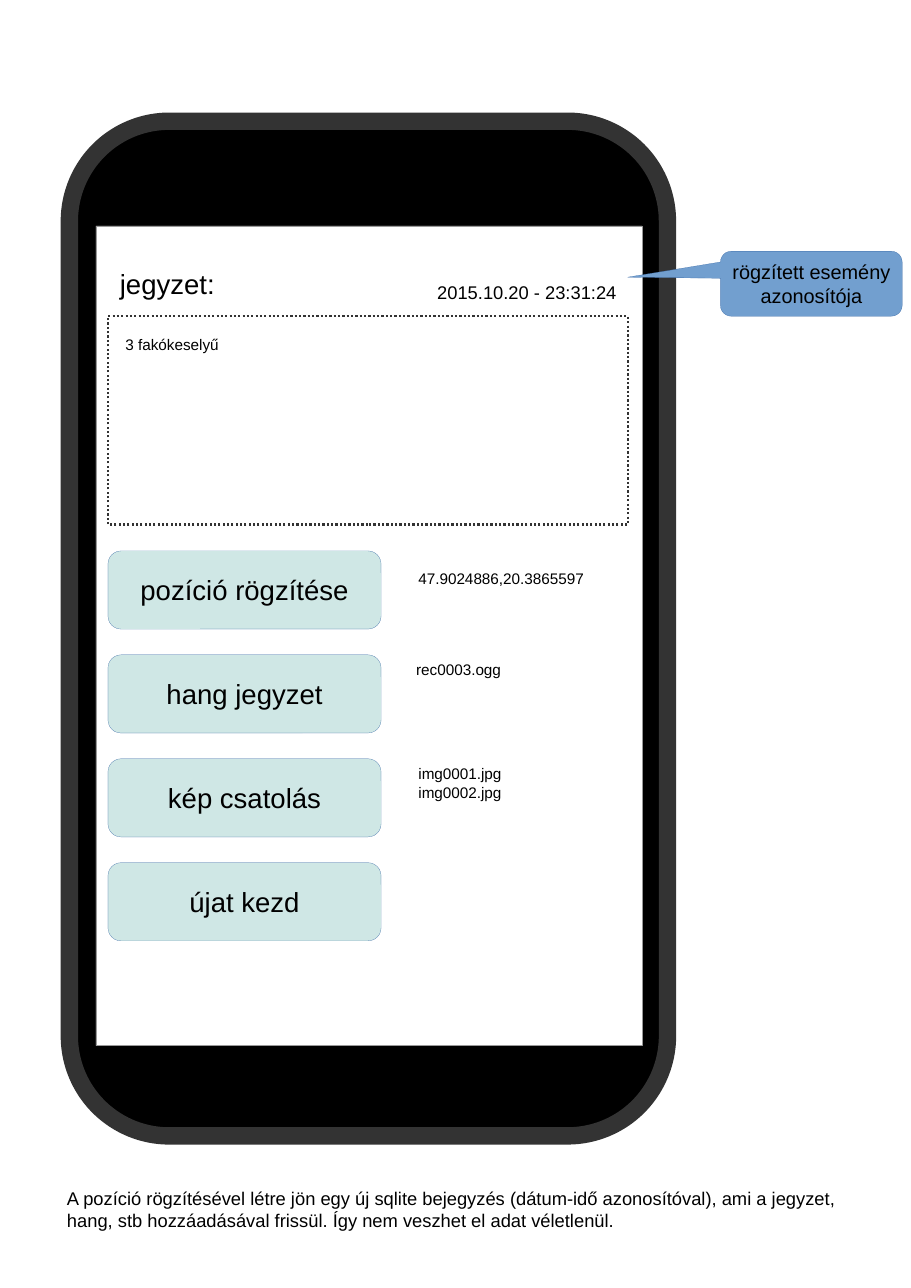
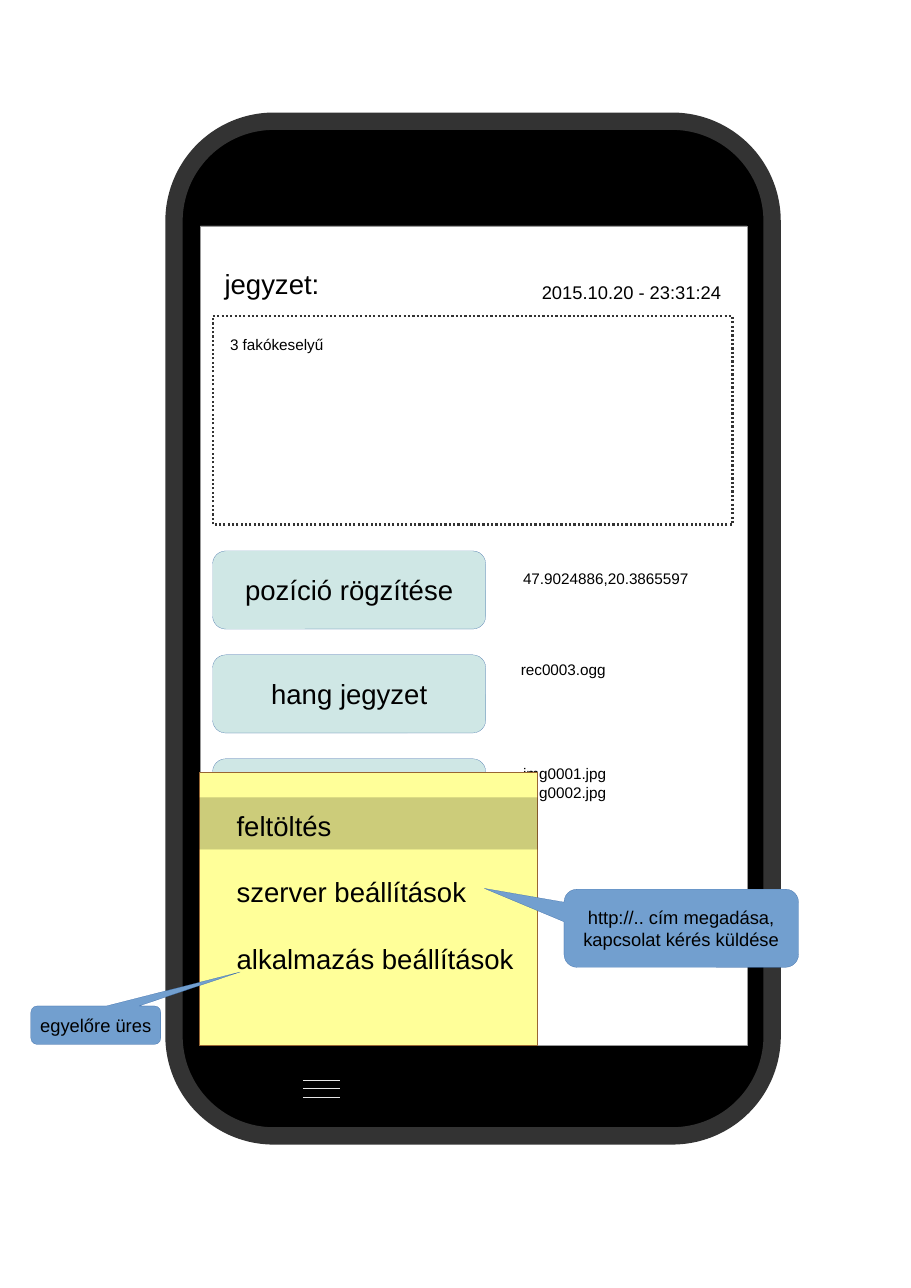
import pptx
import pptx.util
import pptx.dml.color
import pptx.enum.dml
import pptx.enum.shapes
import pptx.enum.text
import pptx.oxml
import pptx.oxml.ns

Inches = pptx.util.Inches
Pt = pptx.util.Pt
SHAPE = pptx.enum.shapes.MSO_SHAPE
ALIGN = pptx.enum.text.PP_ALIGN
ANCHOR = pptx.enum.text.MSO_ANCHOR

FONT = "Arial"
BLACK = "000000"
WHITE = "FFFFFF"
DARK_GREY = "333333"
SCREEN_EDGE = "999999"
BUTTON_FILL = "CFE7E5"
CALLOUT_FILL = "729FCF"
BLUE_EDGE = "3465A4"
MENU_FILL = "FFFF99"
MENU_EDGE = "996633"
ICON_GREY = "E6E6E6"

HAIRLINE = 0.1
CORNER = 0.167
PHONE_WIDTH, PHONE_HEIGHT = 5.43, 9.21
PHONE_TOP = 1.1
BUTTON_PITCH = 2.83 / 3


def colour(hex_string):
    return pptx.dml.color.RGBColor.from_string(hex_string)


def add_alpha(fill_owner, percent):
    for colour_node in fill_owner.iter(pptx.oxml.ns.qn("a:srgbClr")):
        alpha = pptx.oxml.parse_xml(
            f'<a:alpha {pptx.oxml.ns.nsdecls("a")} val="{percent * 1000}"/>')
        colour_node.append(alpha)


def write(frame, lines, size, align=ALIGN.LEFT, wrap=True, spacing=None, gap=0):
    frame.word_wrap = wrap
    for index, line in enumerate(lines):
        para = frame.paragraphs[0] if index == 0 else frame.add_paragraph()
        para.alignment = align
        if spacing:
            para.line_spacing = spacing
        if gap and index:
            para.space_before = Pt(gap)
        span = para.add_run()
        span.text = line
        span.font.size = Pt(size)
        span.font.name = FONT
        span.font.color.rgb = colour(BLACK)


def add_text(page, left, top, width, height, lines, size, **style):
    box = page.shapes.add_textbox(
        Inches(left), Inches(top), Inches(width), Inches(height))
    write(box.text_frame, lines, size, **style)


def add_box(page, kind, left, top, width, height, fill, edge,
            edge_width=HAIRLINE, adjust=(), lines=(), size=18):
    box = page.shapes.add_shape(
        kind, Inches(left), Inches(top), Inches(width), Inches(height))
    box.shadow.inherit = False
    box.fill.solid()
    box.fill.fore_color.rgb = colour(fill)
    box.line.color.rgb = colour(edge)
    box.line.width = Pt(edge_width)
    for index, value in enumerate(adjust):
        box.adjustments[index] = value
    box.text_frame.vertical_anchor = ANCHOR.MIDDLE
    write(box.text_frame, lines, size, align=ALIGN.CENTER, wrap=False)
    return box


def add_callout(page, left, top, width, height, tip, lines, size=12):
    add_box(page, SHAPE.ROUNDED_RECTANGULAR_CALLOUT, left, top, width, height,
            CALLOUT_FILL, BLUE_EDGE, adjust=(*tip, CORNER), lines=lines, size=size)


def add_phone(page, left, top, button_labels):
    add_box(page, SHAPE.ROUNDED_RECTANGLE, left, top, PHONE_WIDTH, PHONE_HEIGHT,
            BLACK, DARK_GREY, 11.34, (CORNER,))
    add_box(page, SHAPE.RECTANGLE, left + 0.24, top + 0.95, 4.96, 7.44,
            WHITE, SCREEN_EDGE)
    add_note(page, left + 0.35, top + 1.27)
    add_buttons(page, left + 0.35, top + 3.9, button_labels)
    add_details(page, left + 3.07, top + 4.02)


def add_note(page, left, top):
    add_text(page, left + 0.01, top, 1.6, 0.38, ["jegyzet:"], 18)
    add_text(page, left + 2.89, top + 0.03, 1.98, 0.38,
             ["2015.10.20 - 23:31:24"], 12, spacing=1.5)
    field = add_box(page, SHAPE.RECTANGLE, left, top + 0.5, 4.72, 1.89,
                    WHITE, DARK_GREY, 1.42)
    field.line.dash_style = pptx.enum.dml.MSO_LINE.ROUND_DOT
    add_text(page, left + 0.06, top + 0.62, 2, 0.25, ["3 fakókeselyű"], 10)


def add_buttons(page, left, top, labels):
    for index, label in enumerate(labels):
        add_box(page, SHAPE.ROUNDED_RECTANGLE, left, top + index * BUTTON_PITCH,
                2.48, 0.71, BUTTON_FILL, BLUE_EDGE, adjust=(CORNER,), lines=[label])


def add_details(page, left, top):
    add_text(page, left, top, 2, 0.25, ["47.9024886,20.3865597"], 10)
    add_text(page, left - 0.02, top + 0.82, 2, 0.25, ["rec0003.ogg"], 10)
    add_text(page, left, top + 1.77, 2, 0.41, ["img0001.jpg", "img0002.jpg"], 10)


def add_menu_icon(page, left, top):
    icon = page.shapes.add_group_shape()
    for index in range(3):
        height = Inches(top + index * 0.08)
        bar = icon.shapes.add_connector(
            pptx.enum.shapes.MSO_CONNECTOR.STRAIGHT,
            Inches(left), height, Inches(left + 0.34), height)
        bar.line.color.rgb = colour(ICON_GREY)
        bar.line.width = Pt(HAIRLINE)
        bar._element.spPr.append(pptx.oxml.parse_xml(
            f'<a:effectLst {pptx.oxml.ns.nsdecls("a")}/>'))


def add_menu(page, left, top):
    add_box(page, SHAPE.RECTANGLE, left, top, 3.07, 2.48, MENU_FILL, MENU_EDGE)
    highlight = add_box(page, SHAPE.RECTANGLE, left, top + 0.23, 3.07, 0.47,
                        BLACK, BLACK)
    add_alpha(highlight._element.spPr, 20)
    add_text(page, left + 0.24, top + 0.28, 2.83, 1.6,
             ["feltöltés", "szerver beállítások", "alkalmazás beállítások"],
             18, gap=22)


def build_recording_page(page):
    add_phone(page, 0.63, PHONE_TOP,
              ["pozíció rögzítése", "hang jegyzet", "kép csatolás", "újat kezd"])
    add_callout(page, 6.54, 2.28, 1.65, 0.59, (-1.01, -0.1),
                ["rögzített esemény", "azonosítója"], 13)
    add_text(page, 0.51, 10.73, 7.36, 0.47,
             ["A pozíció rögzítésével létre jön egy új sqlite bejegyzés "
              "(dátum-idő azonosítóval), ami a jegyzet, hang, stb hozzáadásával "
              "frissül. Így nem veszhet el adat véletlenül."], 12)


def build_menu_page(page):
    add_phone(page, 1.58, PHONE_TOP,
              ["pozíció rögzítése", "hang jegyzet", "kép csatolás"])
    add_menu_icon(page, 2.75, 9.8)
    add_menu(page, 1.81, 7.01)
    add_callout(page, 0.28, 9.13, 1.18, 0.35, (1.11, -1.38), ["egyelőre üres"])
    add_callout(page, 5.12, 8.07, 2.13, 0.71, (-0.84, -0.51),
                ["http://.. cím megadása,", "kapcsolat kérés küldése"])


def main():
    deck = pptx.Presentation()
    deck.slide_width = Inches(8.27)
    deck.slide_height = Inches(11.69)
    for build in (build_recording_page, build_menu_page):
        build(deck.slides.add_slide(deck.slide_layouts[6]))
    deck.save("out.pptx")


if __name__ == "__main__":
    main()
